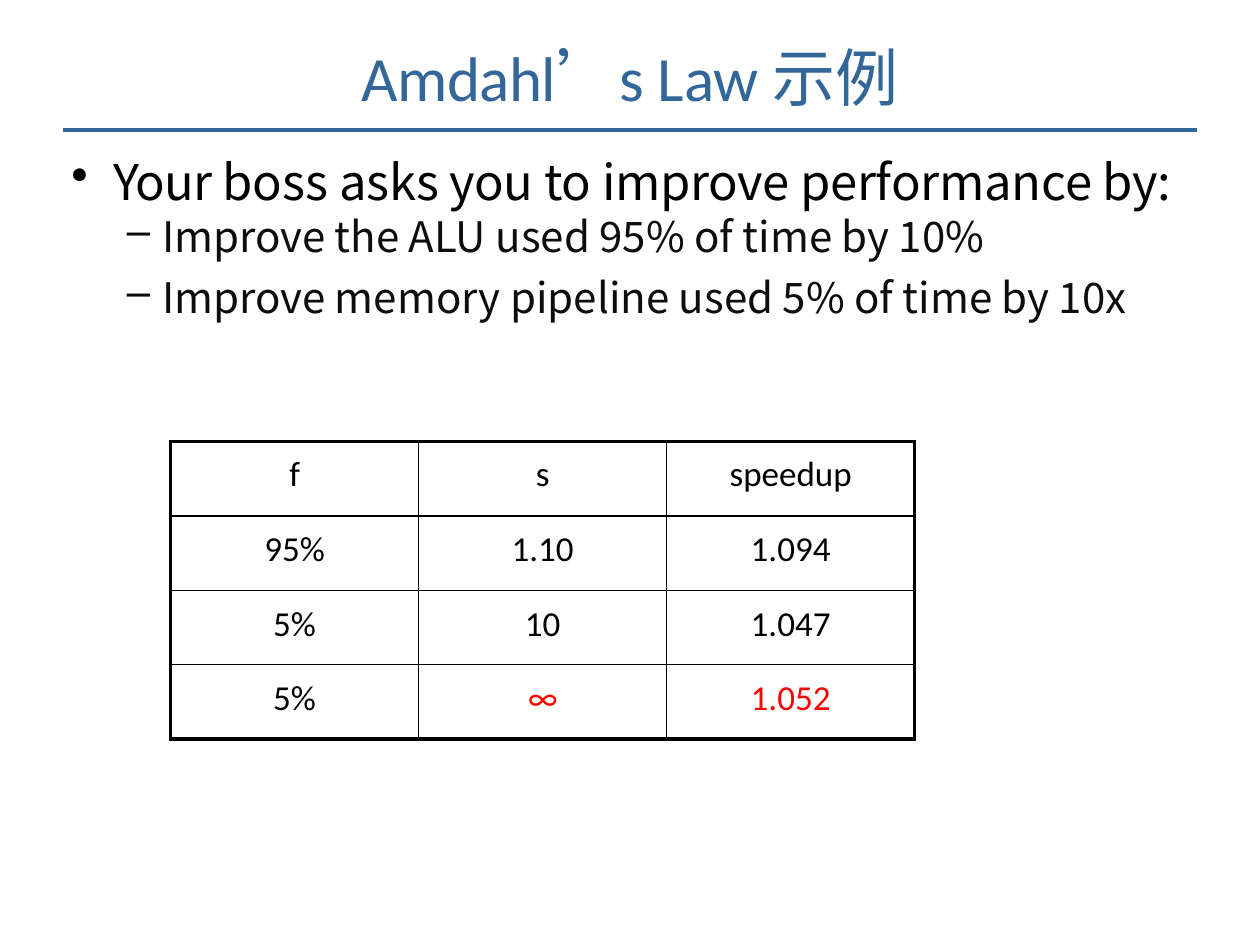
from lxml import etree
from pptx import Presentation
from pptx import util as u
from pptx.dml.color import RGBColor
from pptx.enum import shapes, text
from pptx.oxml.ns import qn

COLORS = {"blue": "336699", "black": "000000", "ink": "0D0D0D", "red": "FF0000"}
LATIN, CJK = "Calibri", "Noto Sans CJK SC"

TITLE = [("Amdahl", LATIN, -0.3), ("’", CJK, 0), ("s ", LATIN, -0.3), ("Law 示例", LATIN, -0.1)]
LEAD = [("Your ", -0.5), ("boss ", 0), ("asks ", -0.1), ("you ", -0.2),
        ("to ", -0.1), ("improve ", -0.2), ("performance by:", -0.1)]
POINTS = [
    "Improve the ALU used 95% of time by 10%",
    "Improve memory pipeline used 5% of time by 10x",
]
ROWS = [
    ("f", "s", "speedup"),
    ("95%", "1.10", "1.094"),
    ("5%", "10", "1.047"),
    ("5%", "∞", "1.052"),
]
RED_CELLS = {"∞", "1.052"}

LEVELS = [
    {"bullet": "•", "left": 0.86, "hang": 0.84, "size": 28, "color": "black", "after": 0},
    {"bullet": "–", "left": 1.85, "hang": 0.71, "size": 24, "color": "ink", "after": 6},
]
COLUMN, ROW = u.Cm(5), u.Cm(1.5)


def apply(target, values):
    for name, value in values.items():
        setattr(target, name, value)


def add_span(para, words, font, size, color, spacing=0):
    span = para.add_run()
    span.text = words
    apply(span.font, {"name": font, "size": u.Pt(size), "bold": False})
    span.font.color.rgb = RGBColor.from_string(COLORS[color])
    properties = span.font._element
    properties.set("spc", str(round(spacing * 100)))
    etree.SubElement(properties, qn("a:ea")).set("typeface", CJK)


def add_box(page, left, top, width, height, margin, anchor):
    frame = page.shapes.add_textbox(u.Cm(left), u.Cm(top), u.Cm(width), u.Cm(height)).text_frame
    sides = ("left", "top", "right", "bottom")
    apply(frame, {f"margin_{side}": u.Cm(margin) for side in sides})
    apply(frame, {"word_wrap": True, "vertical_anchor": anchor})
    return frame


def add_title(page):
    frame = add_box(page, 0, 0.58, 25.4, 1.9, 0.13, text.MSO_ANCHOR.MIDDLE)
    para = frame.paragraphs[0]
    para.alignment = text.PP_ALIGN.CENTER
    for words, font, spacing in TITLE:
        add_span(para, words, font, 36, "blue", spacing)


def add_rule(page):
    rule = page.shapes.add_connector(
        shapes.MSO_CONNECTOR.STRAIGHT, u.Cm(1.27), u.Cm(2.62), u.Cm(24.13), u.Cm(2.62))
    rule.line.color.rgb = RGBColor.from_string(COLORS["blue"])
    rule.line.width = u.Pt(2)
    etree.SubElement(rule._element.spPr, qn("a:effectLst"))


def add_bullets(page):
    frame = add_box(page, 1.42, 3.05, 22.56, 6.7, 0, text.MSO_ANCHOR.TOP)
    items = [(0, LEAD)] + [(1, [(point, 0)]) for point in POINTS]
    for index, (level, spans) in enumerate(items):
        look = LEVELS[level]
        para = frame.add_paragraph() if index else frame.paragraphs[0]
        apply(para, {"level": level, "space_before": u.Pt(0), "space_after": u.Pt(look["after"])})
        properties = para._p.get_or_add_pPr()
        properties.set("marL", str(u.Cm(look["left"])))
        properties.set("indent", str(-u.Cm(look["hang"])))
        etree.SubElement(properties, qn("a:buChar")).set("char", look["bullet"])
        for words, spacing in spans:
            add_span(para, words, CJK, look["size"], look["color"], spacing)


def set_borders(cell, row, column):
    outer = {"L": column == 0, "R": column == len(ROWS[0]) - 1,
             "T": row == 0, "B": row == len(ROWS) - 1}
    properties = cell._tc.get_or_add_tcPr()
    for index, (side, thick) in enumerate(outer.items()):
        line = etree.Element(qn(f"a:ln{side}"), w=str(u.Pt(2.25 if thick else 1)))
        fill = etree.SubElement(line, qn("a:solidFill"))
        etree.SubElement(fill, qn("a:srgbClr")).set("val", COLORS["black"])
        properties.insert(index, line)


def add_results(page):
    table = page.shapes.add_table(
        len(ROWS), len(ROWS[0]), u.Cm(3.44), u.Cm(8.9),
        COLUMN * len(ROWS[0]), ROW * len(ROWS)).table
    apply(table, {"first_row": False, "horz_banding": False})
    for row, values in enumerate(ROWS):
        for column, value in enumerate(values):
            cell = table.cell(row, column)
            apply(cell, {f"margin_{side}": 0 for side in ("left", "top", "right", "bottom")})
            cell.fill.background()
            set_borders(cell, row, column)
            para = cell.text_frame.paragraphs[0]
            apply(para, {"alignment": text.PP_ALIGN.CENTER,
                         "line_spacing": u.Pt(31.6 if row else 30.9)})
            add_span(para, value, LATIN, 20, "red" if value in RED_CELLS else "black")


def main():
    deck = Presentation()
    apply(deck, {"slide_width": u.Cm(25.4), "slide_height": u.Cm(19.05)})
    page = deck.slides.add_slide(deck.slide_layouts[6])
    add_rule(page)
    add_title(page)
    add_bullets(page)
    add_results(page)
    deck.save("out.pptx")


if __name__ == "__main__":
    main()
